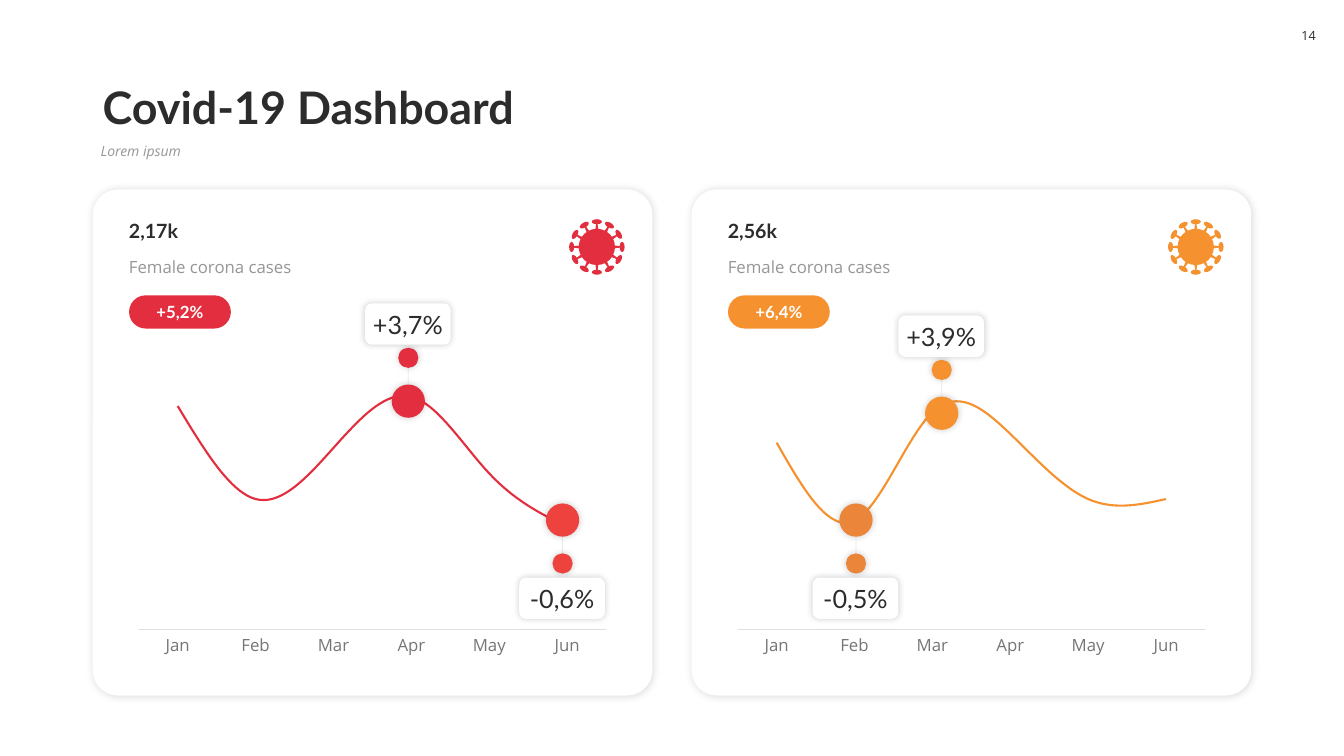
from math import cos, radians, sin

from lxml.etree import SubElement
from pptx import Presentation
from pptx.chart.data import CategoryChartData
from pptx.dml.color import RGBColor
from pptx.enum.chart import XL_CHART_TYPE, XL_TICK_MARK
from pptx.enum.shapes import MSO_CONNECTOR, MSO_SHAPE
from pptx.enum.text import MSO_ANCHOR, PP_ALIGN
from pptx.oxml import parse_xml
from pptx.oxml.ns import nsdecls, qn
from pptx.util import Inches, Pt

COLORS = {
    "white": "FFFFFF", "black": "000000", "ink": "2C2C2C", "gray": "969696",
    "label": "767676", "rule": "DFDFDF", "red": "E22E3F", "coral": "EE423E",
    "orange": "F5922F", "rust": "EB8539",
}
MONTHS = ["Jan", "Feb", "Mar", "Apr", "May", "Jun"]
# Each marker: centre x, centre y, direction of its label, color, label
PANELS = [
    dict(left=0.92, color="red", total="2,17k", change="+5,2%", top=112,
         values=[96, 56, 78, 100, 67, 44],
         marks=[(4.05, 3.98, -1, "red", "+3,7%"),
                (5.58, 5.16, 1, "coral", "-0,6%")]),
    dict(left=6.86, color="orange", total="2,56k", change="+6,4%", top=120,
         values=[86, 50, 100, 90, 60, 60],
         marks=[(9.34, 4.1, -1, "orange", "+3,9%"),
                (8.49, 5.16, 1, "rust", "-0,5%")]),
]


def rgb(name):
    return RGBColor.from_string(COLORS[name])


def style(font, size, color, face, bold=False, italic=False):
    font.size, font.name = Pt(size), face
    font.bold, font.italic = bold, italic
    font.color.rgb = rgb(color)


def write(shape, text, size, color, face="Lato", bold=False, italic=False,
          align=PP_ALIGN.LEFT, anchor=MSO_ANCHOR.TOP, pad=(0.1, 0.05)):
    frame = shape.text_frame
    frame.text = text
    frame.word_wrap = True
    frame.vertical_anchor = anchor
    frame.margin_left = frame.margin_right = Inches(pad[0])
    frame.margin_top = frame.margin_bottom = Inches(pad[1])
    para = frame.paragraphs[0]
    para.alignment = align
    style(para.runs[0].font, size, color, face, bold, italic)
    return para


def add_text(slide, box, text, size, color, **opts):
    area = slide.shapes.add_textbox(*map(Inches, box))
    return write(area, text, size, color, **opts)


def add_shape(shapes, kind, box, color, round=None):
    shape = shapes.add_shape(kind, *map(Inches, box))
    shape.shadow.inherit = False
    shape.fill.solid()
    shape.fill.fore_color.rgb = rgb(color)
    shape.line.fill.background()
    if round is not None:
        shape.adjustments[0] = round
    return shape


def add_dot(shapes, x, y, wide, high, color):
    """Draw an ellipse about its centre."""
    box = (x - wide / 2, y - high / 2, wide, high)
    return add_shape(shapes, MSO_SHAPE.OVAL, box, color)


def set_alpha(parent, percent):
    SubElement(parent, qn("a:alpha"), val=str(percent * 1000))


def cast(shape, alpha=20, blur=5, gap=0):
    """Give the shape a soft outer shadow."""
    effect = shape.element.spPr.find(qn("a:effectLst"))
    outer = SubElement(effect, qn("a:outerShdw"), blurRad=str(Pt(blur)),
                       dist=str(Pt(gap)), dir="2700000", algn="ctr",
                       rotWithShape="0")
    tint = SubElement(outer, qn("a:srgbClr"), val=COLORS["black"])
    set_alpha(tint, alpha)


def add_stem(slide, x, start, end):
    line = slide.shapes.add_connector(
        MSO_CONNECTOR.STRAIGHT, Inches(x), Inches(start), Inches(x), Inches(end))
    line.line.width = Pt(0.5)
    line.line.color.rgb = rgb("ink")
    set_alpha(line.element.spPr.find(".//" + qn("a:srgbClr")), 10)
    SubElement(line.element.spPr, qn("a:effectLst"))


def add_mark(slide, x, y, way, color, text):
    """Draw a large dot, a small dot and a label above (-1) or below (1)."""
    cast(add_dot(slide.shapes, x, y, 0.33, 0.33, color))
    add_stem(slide, x, y + way * 0.17, y + way * 0.33)
    cast(add_dot(slide.shapes, x, y + way * 0.43, 0.2, 0.2, color))
    box = (x - 0.43, y + way * 0.77 - 0.2, 0.85, 0.41)
    label = add_shape(slide.shapes, MSO_SHAPE.ROUNDED_RECTANGLE, box, "white")
    cast(label)
    write(label, text, 18, "ink", align=PP_ALIGN.CENTER,
          anchor=MSO_ANCHOR.MIDDLE, pad=(0.04, 0.05))


def add_virus(slide, x, y, color):
    shapes = slide.shapes.add_group_shape().shapes
    add_dot(shapes, x, y, 0.36, 0.36, color)
    for turn in range(0, 360, 30):
        across, up = sin(radians(turn)), cos(radians(turn))
        tip = add_dot(shapes, x + 0.25 * across, y - 0.25 * up, 0.1, 0.05, color)
        box = (x + 0.2 * across - 0.015, y - 0.2 * up - 0.03, 0.03, 0.06)
        spike = add_shape(shapes, MSO_SHAPE.TRAPEZOID, box, color, 0.27)
        tip.rotation = spike.rotation = turn


def set_plot(chart, x, y, wide, high):
    """Fix the inner plot area, in fractions of the chart."""
    area = chart.element.find(".//" + qn("c:plotArea"))
    for old in area.findall(qn("c:layout")):
        area.remove(old)
    area.insert(0, parse_xml(
        f'<c:layout {nsdecls("c")}><c:manualLayout>'
        '<c:layoutTarget val="inner"/><c:xMode val="edge"/><c:yMode val="edge"/>'
        f'<c:x val="{x}"/><c:y val="{y}"/><c:w val="{wide}"/><c:h val="{high}"/>'
        '</c:manualLayout></c:layout>'))


def add_curve(slide, left, values, top, color):
    data = CategoryChartData()
    data.categories = MONTHS
    data.add_series("Series 1", values)
    box = map(Inches, (left, 3.6, 4.83, 2.97))
    chart = slide.shapes.add_chart(XL_CHART_TYPE.LINE, *box, data).chart
    chart.has_legend = chart.has_title = False
    style(chart.font, 12, "ink", "Open Sans")
    chart.plots[0].vary_by_categories = False
    set_plot(chart, 0.02, 0.02, 0.96, 0.87)
    line = chart.plots[0].series[0]
    line.smooth = True
    line.format.line.width = Pt(1.5)
    line.format.line.color.rgb = rgb(color)
    scale = chart.value_axis
    scale.minimum_scale, scale.maximum_scale = 0, top
    scale.has_major_gridlines = scale.visible = False
    axis = chart.category_axis
    axis.major_tick_mark = axis.minor_tick_mark = XL_TICK_MARK.NONE
    axis.format.line.width = Pt(0.75)
    axis.format.line.color.rgb = rgb("rule")
    style(axis.tick_labels.font, 12, "label", "Open Sans")


def add_panel(slide, left, color, total, change, top, values, marks):
    card = add_shape(slide.shapes, MSO_SHAPE.ROUNDED_RECTANGLE,
                     (left, 1.88, 5.55, 5.02), "white", 0.05)
    cast(card, 15, 6, 1)
    add_text(slide, (left + 0.26, 2.11, 5.01, 0.34), total, 14, "ink",
             bold=True, anchor=MSO_ANCHOR.BOTTOM)
    add_text(slide, (left + 0.26, 2.5, 5.01, 0.3), "Female corona cases", 12,
             "gray", face="Open Sans")
    pill = add_shape(slide.shapes, MSO_SHAPE.ROUNDED_RECTANGLE,
                     (left + 0.36, 2.93, 1.01, 0.33), color, 0.5)
    write(pill, change, 12, "white", bold=True, align=PP_ALIGN.CENTER,
          anchor=MSO_ANCHOR.MIDDLE, pad=(0, 0))
    add_curve(slide, left + 0.36, values, top, color)
    for mark in marks:
        add_mark(slide, *mark)
    add_virus(slide, left + 5, 2.45, color)


def main():
    deck = Presentation()
    deck.slide_width, deck.slide_height = Inches(13.33), Inches(7.5)
    slide = deck.slides.add_slide(deck.slide_layouts[6])
    title = add_text(slide, (0.92, 0.58, 11.5, 0.8), "Covid-19 Dashboard", 32,
                     "ink", bold=True, anchor=MSO_ANCHOR.BOTTOM)
    lead = add_text(slide, (0.9, 1.38, 11.52, 0.36), "Lorem ipsum", 10, "gray",
                    face="Open Sans", italic=True)
    title.line_spacing = lead.line_spacing = 0.9
    page = add_shape(slide.shapes, MSO_SHAPE.ROUNDED_RECTANGLE,
                     (12.8, 0.18, 0.36, 0.35), "white", 0.27)
    write(page, "14", 9, "ink", face="Open Sans", align=PP_ALIGN.CENTER,
          anchor=MSO_ANCHOR.MIDDLE, pad=(0, 0.05))
    for panel in PANELS:
        add_panel(slide, **panel)
    deck.save("out.pptx")


if __name__ == "__main__":
    main()
